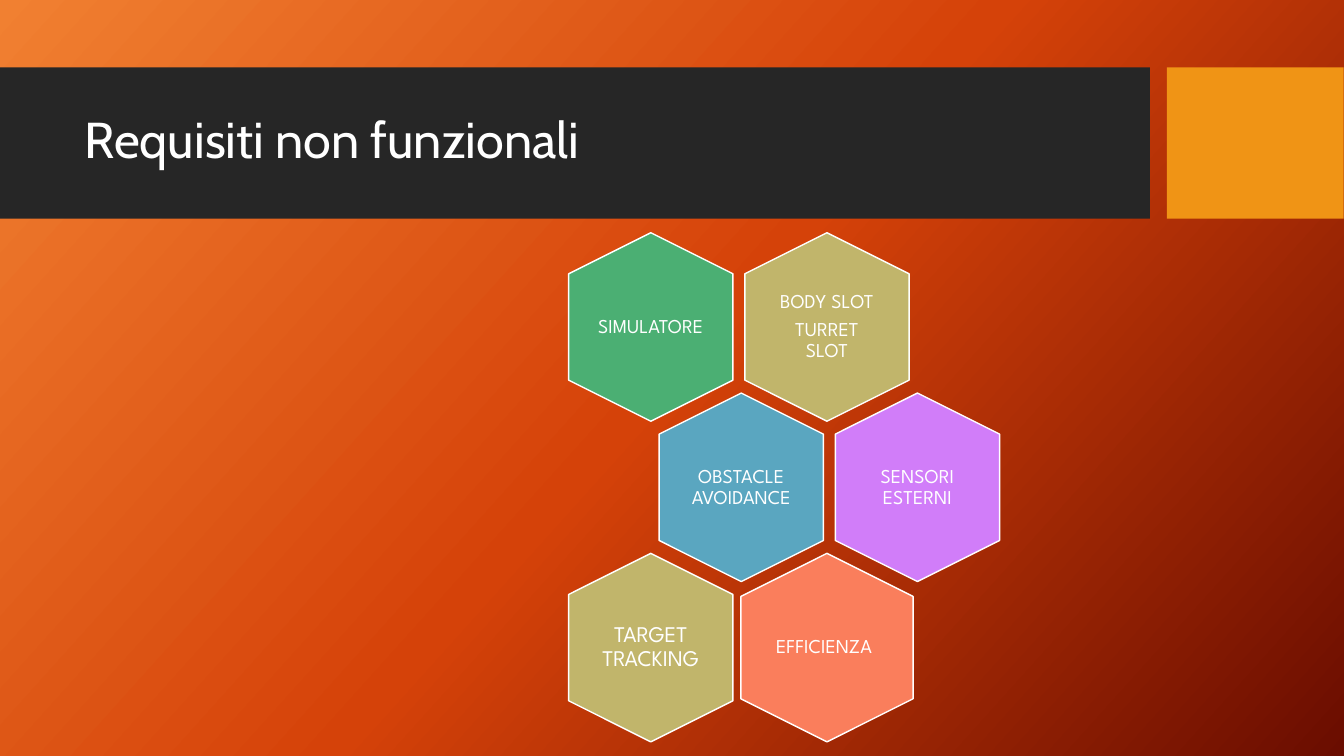
import copy
from dataclasses import dataclass

import pptx
import pptx.util
import pptx.dml.color
import pptx.enum.shapes
import pptx.enum.text
import pptx.oxml.ns

Cm, Pt = pptx.util.Cm, pptx.util.Pt
SHAPE = pptx.enum.shapes.MSO_SHAPE
ALIGN = pptx.enum.text.PP_ALIGN
MIDDLE = pptx.enum.text.MSO_ANCHOR.MIDDLE

TITLE = "Requisiti non funzionali"
# row, column, fill, type size, alignment, hexagon width, inset, lines
CELLS = [
    (0, 1, "olive", "small", ALIGN.CENTER, 4.14, 0.15, ["BODY SLOT", "TURRET SLOT"]),
    (0, 0, "green", "small", ALIGN.CENTER, 4.14, 0, ["SIMULATORE"]),
    (1, 0, "blue", "small", ALIGN.CENTER, 4.14, 0.15, ["OBSTACLE AVOIDANCE"]),
    (1, 1, "violet", "small", ALIGN.CENTER, 4.14, 0, ["SENSORI ESTERNI"]),
    (2, 1, "coral", "small", ALIGN.JUSTIFY, 4.34, 0.15, ["EFFICIENZA"]),
    (2, 0, "olive", "large", ALIGN.CENTER, 4.14, 0, ["TARGET TRACKING"]),
]


@dataclass(frozen=True)
class Theme:
    white: str = "FFFFFF"
    dark: str = "262626"
    amber: str = "F09415"
    olive: str = "C1B56B"
    green: str = "4BAF73"
    blue: str = "5AA6C0"
    violet: str = "D17DF9"
    coral: str = "FA7E5C"
    back: tuple = ("F18031", "D54209", "6A0D00")
    head: int = 36
    large: int = 16
    small: int = 14
    head_font: str = "Cabin"
    body_font: str = "League Spartan"


THEME = Theme()
HEX_LEN = 4.75
LEFT, TOP = 16.4, 8.24          # centre of the first hexagon
STEP_X, STEP_Y = 4.44, 4.04
SHIFT = 2.28                    # offset of the odd row
TEXT_W, TEXT_H = 2.86, 3.28


def rgb(code):
    return pptx.dml.color.RGBColor.from_string(code)


def box(x, y, w, h):
    return Cm(x), Cm(y), Cm(w), Cm(h)


def mid_box(x, y, w, h):
    """Return a box of the given size centred on x, y."""
    return box(x - w / 2, y - h / 2, w, h)


def paint(slide):
    """Fill the background with evenly spaced gradient stops."""
    fill = slide.background.fill
    fill.gradient()
    fill.gradient_angle = 360 - 42
    stops = slide.element.find(".//" + pptx.oxml.ns.qn("a:gsLst"))
    stops.insert(1, copy.deepcopy(stops[0]))
    last = len(THEME.back) - 1
    for i, (stop, code) in enumerate(zip(fill.gradient_stops, THEME.back)):
        stop.color.rgb = rgb(code)
        stop.position = i / last


def add_solid(slide, kind, place, code):
    shape = slide.shapes.add_shape(kind, *place)
    shape.shadow.inherit = False
    shape.fill.solid()
    shape.fill.fore_color.rgb = rgb(code)
    shape.line.fill.background()
    return shape


def style(para, font, size, align):
    para.alignment = align
    para.line_spacing = 0.9
    para.font.name = font
    para.font.size = Pt(size)
    para.font.color.rgb = rgb(THEME.white)


def add_head(slide):
    add_solid(slide, SHAPE.RECTANGLE, box(0, 1.7, 28.98, 3.81), THEME.dark)
    add_solid(slide, SHAPE.RECTANGLE, box(29.41, 1.7, 4.45, 3.81), THEME.amber)
    title = slide.shapes.title
    title.left, title.top, title.width, title.height = box(1.88, 2.08, 18.62, 3)
    frame = title.text_frame
    frame.text = TITLE
    frame.vertical_anchor = MIDDLE
    style(frame.paragraphs[0], THEME.head_font, THEME.head, ALIGN.LEFT)
    title.element.getparent().append(title.element)  # bring above the bars


def add_cell(slide, row, col, hue, size, align, wide, inset, lines):
    x = LEFT + col * STEP_X + row % 2 * SHIFT
    y = TOP + row * STEP_Y
    tile = add_solid(slide, SHAPE.HEXAGON, mid_box(x, y, HEX_LEN, wide), getattr(THEME, hue))
    tile.rotation = 90
    tile.adjustments[0] = 0.25
    tile.line.fill.solid()
    tile.line.color.rgb = rgb(THEME.white)
    tile.line.width = Pt(1)

    label = slide.shapes.add_textbox(*mid_box(x, y, TEXT_W, TEXT_H))
    frame = label.text_frame
    frame.word_wrap = True
    frame.vertical_anchor = MIDDLE
    frame.margin_left = frame.margin_right = Cm(inset)
    frame.margin_top = frame.margin_bottom = Cm(inset)
    frame.text = "\n".join(lines)
    points = getattr(THEME, size)
    for para in frame.paragraphs:
        style(para, THEME.body_font, points, align)
        para.space_after = Pt(round(points * 0.35))


def main():
    deck = pptx.Presentation()
    deck.slide_width, deck.slide_height = Cm(33.87), Cm(19.05)
    slide = deck.slides.add_slide(deck.slide_layouts[5])
    paint(slide)
    add_head(slide)
    for cell in CELLS:
        add_cell(slide, *cell)
    deck.save("out.pptx")


if __name__ == "__main__":
    main()
